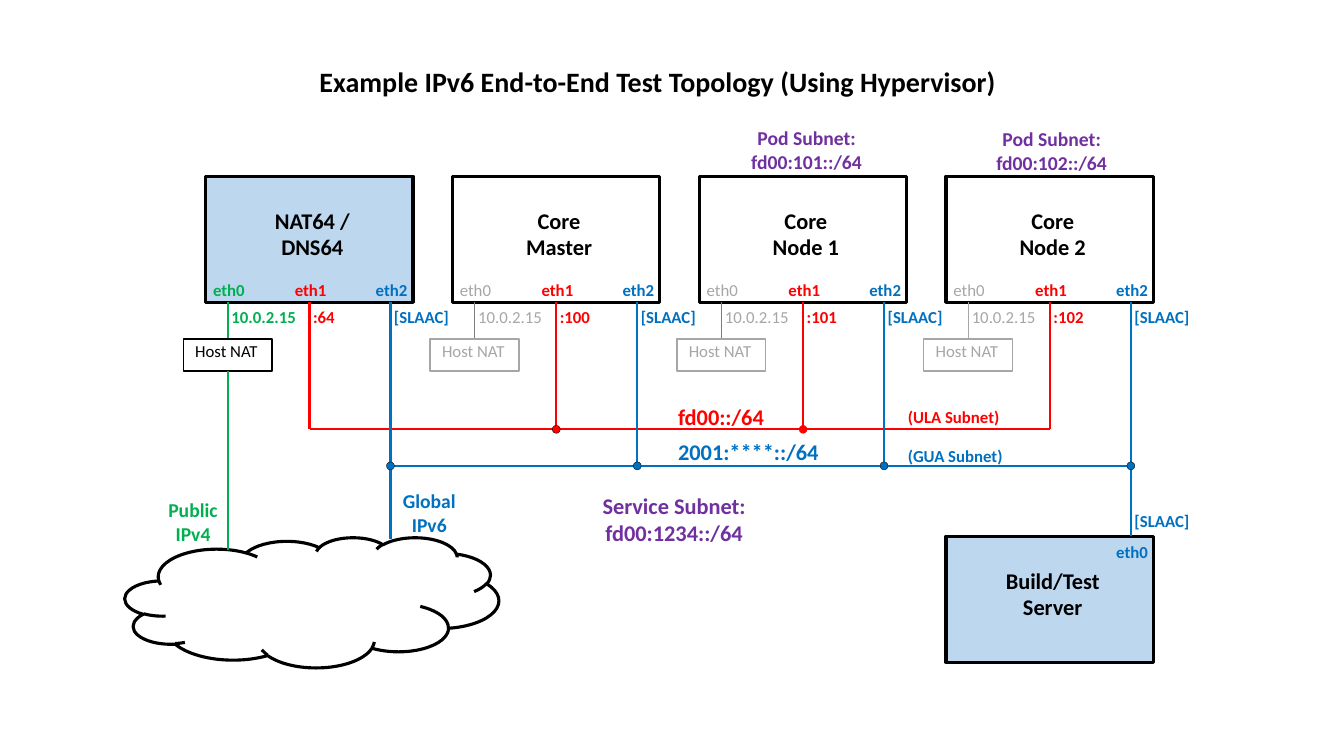
from dataclasses import dataclass

from lxml import etree
from pptx import Presentation
from pptx.dml.color import RGBColor
from pptx.enum.shapes import MSO_CONNECTOR, MSO_SHAPE
from pptx.enum.text import MSO_ANCHOR, MSO_AUTO_SIZE, PP_ALIGN
from pptx.oxml.ns import qn
from pptx.util import Cm, Pt

STRAIGHT = MSO_CONNECTOR.STRAIGHT
RECT, OVAL, CLOUD = MSO_SHAPE.RECTANGLE, MSO_SHAPE.OVAL, MSO_SHAPE.CLOUD
TOP, FIXED = MSO_ANCHOR.TOP, MSO_AUTO_SIZE.NONE
LEFT, CENTER = PP_ALIGN.LEFT, PP_ALIGN.CENTER


@dataclass(frozen=True)
class Theme:
    """Colours, font, type sizes and line widths of the slide."""
    font: str = "Calibri"
    black: str = "000000"
    pale: str = "BDD7EE"
    red: str = "FF0000"
    blue: str = "0070C0"
    green: str = "00B050"
    purple: str = "7030A0"
    grey: str = "A6A6A6"
    dark_grey: str = "7C7C7C"
    title: int = 20
    name: int = 16
    note: int = 14
    label: int = 12
    frame: float = 2.25
    wire: float = 1.5
    thin: float = 1
    hair: float = 0.25


T = Theme()

# Content. "\n" starts a paragraph, "\v" breaks a line inside one.
TITLE = "Example IPv6 End-to-End Test Topology (Using Hypervisor)"
NAT = "Host NAT"
NAT_ADDRESS = "10.0.2.15"
AUTO_ADDRESS = "[SLAAC]"
# name, fill, eth1 address, eth0 text colour, eth0 wire colour, NAT box colour
HOSTS = [
    ("NAT64 /\vDNS64", T.pale, ":64", T.green, T.green, T.black),
    ("Core\vMaster", None, ":100", T.grey, T.dark_grey, T.grey),
    ("Core\vNode 1", None, ":101", T.grey, T.dark_grey, T.grey),
    ("Core\vNode 2", None, ":102", T.grey, T.grey, T.grey),
]
SERVER = "Build/Test\vServer"
# text, left, top, width, size, colour, alignment
NOTES = [
    ("Pod Subnet:\nfd00:101::/64", 17.7, 3.05, 5.26, T.note, T.purple, CENTER),
    ("Pod Subnet:\nfd00:102::/64", 23.9, 3.07, 5.21, T.note, T.purple, CENTER),
    ("Service Subnet:\nfd00:1234::/64", 14.63, 12.27, 4.72, T.name, T.purple, CENTER),
    ("Public\vIPv4", 3.76, 12.42, 2.21, T.note, T.green, CENTER),
    ("Global\vIPv6", 9.78, 12.19, 2.08, T.note, T.blue, CENTER),
    ("fd00::/64", 16.84, 10.03, 3.43, T.name, T.red, LEFT),
    ("2001:****::/64", 16.84, 10.92, 6.45, T.name, T.blue, LEFT),
    ("(ULA Subnet)", 22.63, 10.13, 3.43, T.label, T.red, LEFT),
    ("(GUA Subnet)", 22.63, 11.1, 3.99, T.label, T.blue, LEFT),
]

# Geometry in centimetres
HOST_LEFT, HOST_TOP, HOST_W, HOST_H, PITCH = 5.18, 4.44, 5.23, 3.18, 6.22
HOST_BOTTOM = HOST_TOP + HOST_H
PORT_X = (0.56, 2.62, 4.66)
PORT_DX, PORT_TOP, PORT_W = -0.62, 6.93, 1.32
ADDRESS_DX, ADDRESS_TOP, ADDRESS_W = -0.16, 7.6, 2.16
NAT_TOP, NAT_W, NAT_H = 8.54, 2.24, 0.81
ULA_Y, GUA_Y, DOT = 10.82, 11.74, 0.2
CLOUD_BOX = (3.15, 13.54, 9.42, 3.28)
CLOUD_V4_Y, CLOUD_V6_Y = 13.87, 13.59
SERVER_TOP = 13.51

prs = Presentation()
prs.slide_width, prs.slide_height = Cm(33.87), Cm(19.05)
slide = prs.slides.add_slide(prs.slide_layouts[5])


def rgb(code):
    """Turn a hex code into a colour."""
    return RGBColor.from_string(code)


def write(frame, text, size, colour, bold=True, align=LEFT, insets=(0.25, 0.13, 0.25, 0.13)):
    """Fill a text frame run by run."""
    frame.word_wrap, frame.auto_size, frame.vertical_anchor = True, FIXED, TOP
    (frame.margin_left, frame.margin_top,
     frame.margin_right, frame.margin_bottom) = map(Cm, insets)
    for n, line in enumerate(text.split("\n")):
        paragraph = frame.add_paragraph() if n else frame.paragraphs[0]
        paragraph.alignment = align
        for m, part in enumerate(line.split("\v")):
            if m:
                paragraph.add_line_break()
            run = paragraph.add_run()
            run.text = part
            run.font.name, run.font.size, run.font.bold = T.font, Pt(size), bold
            run.font.color.rgb = rgb(colour)


def label(text, left, top, width, size, colour, align=LEFT, bold=True):
    """Place free text."""
    height = 0.26 + 0.043 * size * len(text.replace("\v", "\n").split("\n"))
    box = slide.shapes.add_textbox(Cm(left), Cm(top), Cm(width), Cm(height))
    write(box.text_frame, text, size, colour, bold, align)


def outline(kind, left, top, width, height, line, weight, fill=None):
    """Draw a preset shape with an outline and an optional fill."""
    shape = slide.shapes.add_shape(kind, Cm(left), Cm(top), Cm(width), Cm(height))
    shape.shadow.inherit = False
    if fill:
        shape.fill.solid()
        shape.fill.fore_color.rgb = rgb(fill)
    else:
        shape.fill.background()
    shape.line.color.rgb, shape.line.width = rgb(line), Pt(weight)
    return shape


def wire(x1, y1, x2, y2, colour, weight=T.wire):
    """Draw a straight line without a shadow."""
    line = slide.shapes.add_connector(STRAIGHT, Cm(x1), Cm(y1), Cm(x2), Cm(y2))
    line.line.color.rgb, line.line.width = rgb(colour), Pt(weight)
    etree.SubElement(line._element.spPr, qn("a:effectLst"))


def junction(x, y, fill, line=T.black):
    """Mark where a host joins a subnet."""
    outline(OVAL, x - DOT / 2, y - DOT / 2, DOT, DOT, line, T.hair, fill)


def machine(name, left, top, fill):
    """Draw a named machine box."""
    box = outline(RECT, left, top, HOST_W, HOST_H, T.black, T.frame, fill)
    write(box.text_frame, name, T.name, T.black, align=CENTER, insets=(0.15, 0.77, 0, 0))


def port(name, x, top, colour, bold=True):
    """Name the port above a wire at x."""
    label(name, x + PORT_DX, top, PORT_W, T.label, colour, bold=bold)


def address(text, x, top, colour, bold=True):
    """Write an address to the right of a wire at x."""
    label(text, x + ADDRESS_DX, top, ADDRESS_W, T.label, colour, bold=bold)


title = slide.shapes.title
title.left, title.top, title.width, title.height = Cm(7.8), Cm(1.5), Cm(18.6), Cm(1.12)
write(title.text_frame, TITLE, T.title, T.black)

lefts = [HOST_LEFT + PITCH * i for i in range(len(HOSTS))]
ports = [[left + x for x in PORT_X] for left in lefts]
gua_ends = [CLOUD_V6_Y, GUA_Y, GUA_Y, SERVER_TOP]

for (name, fill, *_), left in zip(HOSTS, lefts):
    machine(name, left, HOST_TOP, fill)
machine(SERVER, lefts[-1], SERVER_TOP, T.pale)
outline(CLOUD, *CLOUD_BOX, T.black, T.frame)

wire(ports[0][1], ULA_Y, ports[-1][1], ULA_Y, T.red)
wire(ports[0][2], GUA_Y, ports[-1][2], GUA_Y, T.blue)

for host, (eth0, eth1, eth2), gua_end in zip(HOSTS, ports, gua_ends):
    _, _, ula_address, eth0_colour, eth0_wire, nat_colour = host
    public = eth0_colour == T.green
    wire(eth0, HOST_BOTTOM, eth0, NAT_TOP, eth0_wire, T.wire if public else T.thin)
    wire(eth1, HOST_BOTTOM, eth1, ULA_Y, T.red)
    wire(eth2, HOST_BOTTOM, eth2, gua_end, T.blue)
    nat = outline(RECT, eth0 - NAT_W / 2, NAT_TOP, NAT_W, NAT_H, nat_colour, T.thin)
    write(nat.text_frame, NAT, T.label, nat_colour, False, insets=(0.3, 0.05, 0, 0))
    for name, given, x, colour, bold in (
            ("eth0", NAT_ADDRESS, eth0, eth0_colour, public),
            ("eth1", ula_address, eth1, T.red, True),
            ("eth2", AUTO_ADDRESS, eth2, T.blue, True)):
        port(name, x, PORT_TOP, colour, bold)
        address(given, x, ADDRESS_TOP, colour, bold)
    junction(eth2, GUA_Y, T.blue)

wire(ports[0][0], NAT_TOP + NAT_H, ports[0][0], CLOUD_V4_Y, T.green)
junction(ports[1][1], ULA_Y, T.red)
junction(ports[2][1], ULA_Y, T.red, T.red)
port("eth0", ports[-1][2], SERVER_TOP, T.blue)
address(AUTO_ADDRESS, ports[-1][2], 12.73, T.blue)

for note in NOTES:
    label(*note)

prs.save("out.pptx")
